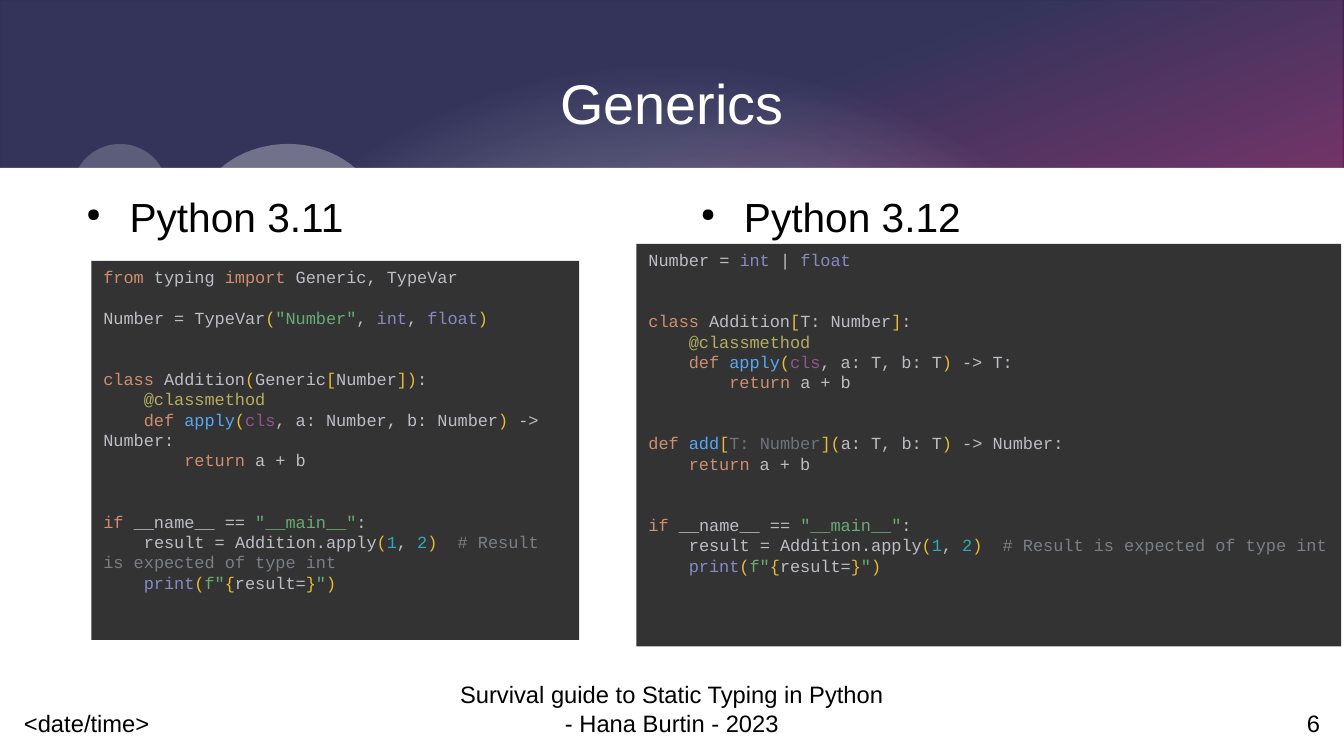
from itertools import groupby

from lxml import etree
from pptx import Presentation
from pptx.dml.color import RGBColor
from pptx.enum.shapes import MSO_SHAPE
from pptx.enum.text import MSO_ANCHOR, PP_ALIGN
from pptx.oxml.ns import qn
from pptx.util import Cm, Pt

RECTANGLE, OVAL = MSO_SHAPE.RECTANGLE, MSO_SHAPE.OVAL
TOP, MIDDLE, BOTTOM = MSO_ANCHOR.TOP, MSO_ANCHOR.MIDDLE, MSO_ANCHOR.BOTTOM
LEFT, CENTER, RIGHT = PP_ALIGN.LEFT, PP_ALIGN.CENTER, PP_ALIGN.RIGHT

CELL = Cm(0.5)
COLUMNS, ROWS = 56, 31.5
HEADER_ROWS = 7
MARGIN = 3
BLACK, WHITE, CODE_BACK = "000000", "FFFFFF", "333333"
BRACKETS = "()[]{}"
SYNTAX = {
    "plain": "BCBEC4", "keyword": "CF8E6D", "bracket": "E8BA36",
    "string": "6AAB73", "builtin": "8888C6", "decorator": "B3AE60",
    "function": "56A8F5", "self": "94558D", "number": "2AACB8",
    "comment": "7A7E85", "unused": "6F737A",
}


def addition_class(before_colon, parameters, result):
    """Code tokens of the Addition class; brackets get their colour later."""
    return [
        ("keyword", "class "), ("plain", f"Addition{before_colon}:\n    "),
        ("decorator", "@classmethod\n    "),
        ("keyword", "def "), ("function", "apply"), ("plain", "("),
        ("self", "cls"), ("plain", f"{parameters}) -> {result}:\n        "),
        ("keyword", "return "), ("plain", "a + b\n\n\n"),
    ]


MAIN_BLOCK = [
    ("keyword", "if "), ("plain", "__name__ == "), ("string", '"__main__"'),
    ("plain", ":\n    result = Addition.apply("), ("number", "1"),
    ("plain", ", "), ("number", "2"), ("plain", ")  "),
    ("comment", "# Result is expected of type int\n    "),
    ("builtin", "print"), ("plain", "("), ("string", 'f"'),
    ("plain", "{result=}"), ("string", '"'), ("plain", ")"),
]
CODE_311 = [
    ("keyword", "from "), ("plain", "typing "), ("keyword", "import "),
    ("plain", "Generic, TypeVar\n\nNumber = TypeVar("),
    ("string", '"Number"'), ("plain", ", "), ("builtin", "int"),
    ("plain", ", "), ("builtin", "float"), ("plain", ")\n\n\n"),
    *addition_class("(Generic[Number])", ", a: Number, b: Number", "Number"),
    *MAIN_BLOCK,
]
CODE_312 = [
    ("plain", "Number = "), ("builtin", "int "), ("plain", "| "),
    ("builtin", "float\n\n\n"),
    *addition_class("[T: Number]", ", a: T, b: T", "T"),
    ("keyword", "def "), ("function", "add"), ("plain", "["),
    ("unused", "T: Number"), ("plain", "](a: T, b: T) -> Number:\n    "),
    ("keyword", "return "), ("plain", "a + b\n\n\n"),
    *MAIN_BLOCK,
]


def colour(value):
    return RGBColor.from_string(value)


def cells(box):
    """Turn left, top, width and height in grid cells into lengths."""
    return [int(size * CELL) for size in box]


def add_plain_shape(page, kind, box, fill=WHITE, opacity=100):
    shape = page.shapes.add_shape(kind, *cells(box))
    shape.shadow.inherit = False
    shape.line.fill.background()
    shape.fill.solid()
    shape.fill.fore_color.rgb = colour(fill)
    if opacity < 100:
        tint = shape.fill._xPr.find(qn("a:solidFill"))[0]
        etree.SubElement(tint, qn("a:alpha"), val=str(opacity * 1000))
    return shape


def add_gradient(page, box, stops, angle=None, focus=None):
    """Rectangle with (position, colour, opacity) stops, linear or circular."""
    shape = add_plain_shape(page, RECTANGLE, box)
    solid = shape.fill._xPr.find(qn("a:solidFill"))
    gradient = etree.Element(qn("a:gradFill"), rotWithShape="1")
    stop_list = etree.SubElement(gradient, qn("a:gsLst"))
    for position, value, opacity in stops:
        stop = etree.SubElement(stop_list, qn("a:gs"), pos=str(position * 1000))
        tint = etree.SubElement(stop, qn("a:srgbClr"), val=value)
        if opacity < 100:
            etree.SubElement(tint, qn("a:alpha"), val=str(opacity * 1000))
    if focus:
        circle = etree.SubElement(gradient, qn("a:path"), path="circle")
        sides = {side: str(share * 1000) for side, share in zip("ltrb", focus)}
        etree.SubElement(circle, qn("a:fillToRect"), sides)
    else:
        etree.SubElement(gradient, qn("a:lin"), ang=str(angle * 60000), scaled="0")
    solid.getparent().replace(solid, gradient)


def set_font(para, size, value, name="Arial"):
    para.font.size, para.font.name = Pt(size), name
    para.font.color.rgb = colour(value)


def add_text(page, box, text, size, value=BLACK, align=LEFT, anchor=TOP):
    frame = page.shapes.add_textbox(*cells(box)).text_frame
    frame.word_wrap, frame.vertical_anchor = True, anchor
    frame.margin_left = frame.margin_right = 0
    frame.margin_top = frame.margin_bottom = 0
    para = frame.paragraphs[0]
    para.text, para.alignment = text, align
    set_font(para, size, value)
    return para


def add_heading(page, box, text):
    """Bulleted heading above a code panel."""
    para = add_text(page, box, text, 24)
    para.space_after = Pt(7.2)
    settings = para._p.get_or_add_pPr()
    settings.set("marL", str(Cm(1.2)))
    settings.set("indent", str(-Cm(0.9)))
    bullet = [etree.Element(qn("a:buClr")),
              etree.Element(qn("a:buSzPct"), val="45000"),
              etree.Element(qn("a:buChar"), char="●")]
    etree.SubElement(bullet[0], qn("a:srgbClr"), val=BLACK)
    font_at = settings.index(settings.find(qn("a:defRPr")))
    settings[font_at:font_at] = bullet


def add_code(page, box, tokens, wrap):
    frame = add_plain_shape(page, RECTANGLE, box, CODE_BACK).text_frame
    frame.word_wrap, frame.vertical_anchor = wrap, TOP
    para = frame.paragraphs[0]
    para.alignment = LEFT
    set_font(para, 10, SYNTAX["plain"], "Courier New")
    for role, text in tokens:
        for number, line in enumerate(text.split("\n")):
            if number:
                para.add_line_break()
            for is_bracket, letters in groupby(line, lambda c: c in BRACKETS):
                span = para.add_run()
                span.text = "".join(letters)
                kind = "bracket" if is_bracket else role
                span.font.color.rgb = colour(SYNTAX[kind])


def add_header(page, title):
    whole = (0, 0, COLUMNS, ROWS)
    add_gradient(page, whole, [(30, "000032", 100), (100, "F60063", 100)], angle=70)
    add_gradient(page, whole, [(0, WHITE, 90), (75, WHITE, 20)],
                 focus=(50, 85, 50, 15))
    add_plain_shape(page, RECTANGLE, (0, HEADER_ROWS, COLUMNS, ROWS - HEADER_ROWS))
    add_plain_shape(page, OVAL, (8, 6, 8, 7), opacity=30)
    add_plain_shape(page, OVAL, (MARGIN, 6, 4, 4), opacity=20)
    add_text(page, (MARGIN, 1.5, COLUMNS - 2 * MARGIN, 5.5), title, 33, WHITE,
             CENTER, MIDDLE)


def add_footer(page, top, height):
    for left, width, text, align in (
        (1, 13, "<date/time>", LEFT),
        (19, 18, "Survival guide to Static Typing in Python - Hana Burtin - 2023",
         CENTER),
        (42, 13, "6", RIGHT),
    ):
        add_text(page, (left, top, width, height), text, 14,
                 align=align, anchor=BOTTOM)


def main():
    deck = Presentation()
    deck.slide_width, deck.slide_height = cells((COLUMNS, ROWS))
    page = deck.slides.add_slide(deck.slide_layouts[6])
    add_header(page, "Generics")
    for left, heading, panel, code, wrap in (
        (MARGIN, "Python 3.11", (3.81, 10.87, 20.32, 15.8), CODE_311, True),
        (28.6, "Python 3.12", (26.52, 10.16, 29.36, 16.77), CODE_312, False),
    ):
        add_heading(page, (left, 8, 24.4, 2.2), heading)
        add_code(page, panel, code, wrap)
    add_footer(page, 28.5, 2.2)
    deck.save("out.pptx")


if __name__ == "__main__":
    main()
